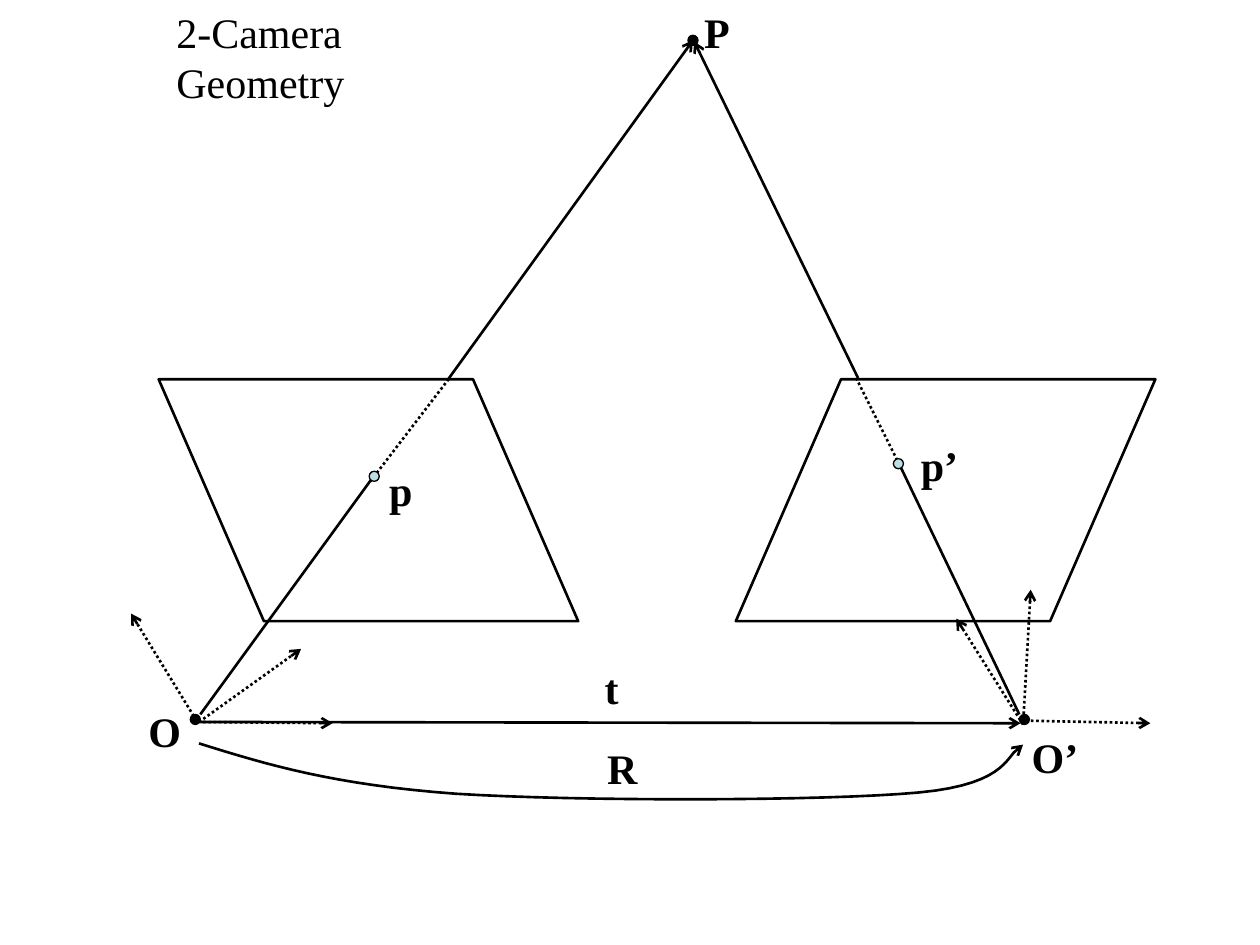
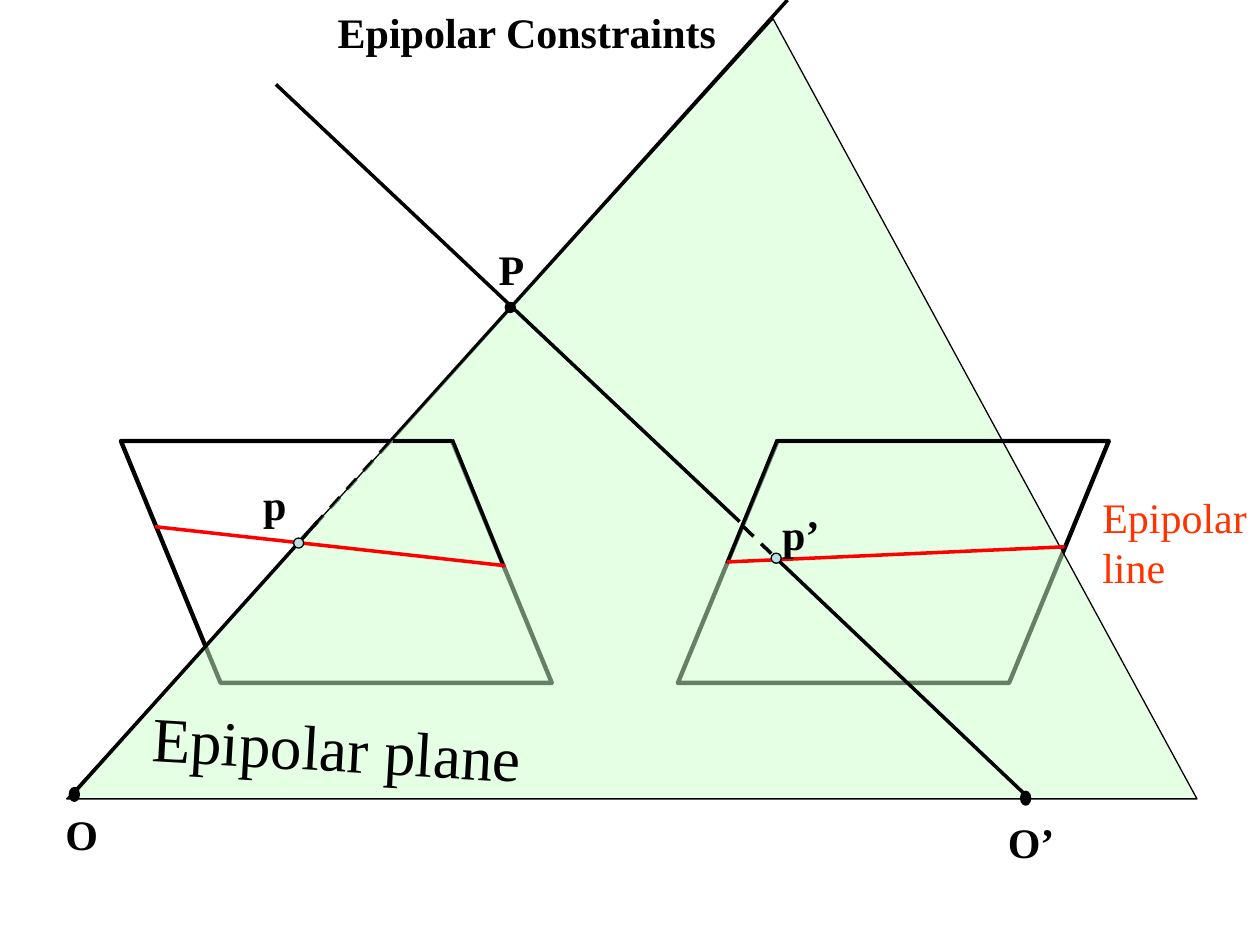
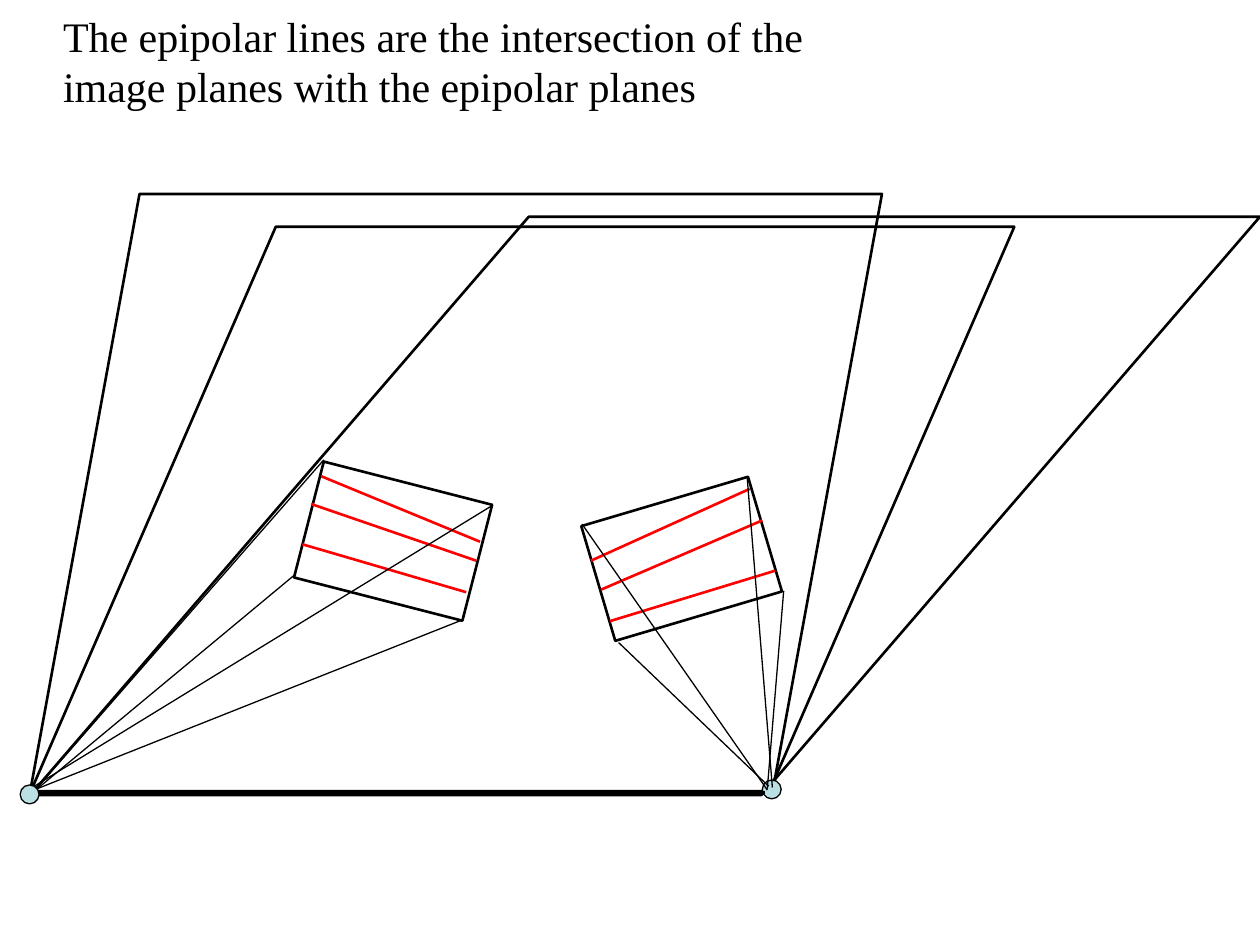
from dataclasses import dataclass

from lxml.etree import SubElement
from pptx import Presentation
from pptx.dml.color import RGBColor
from pptx.enum.dml import MSO_LINE
from pptx.enum.shapes import MSO_CONNECTOR, MSO_SHAPE
from pptx.enum.text import MSO_ANCHOR, MSO_AUTO_SIZE, PP_ALIGN
from pptx.oxml.ns import qn
from pptx.util import Cm, Pt


@dataclass(frozen=True)
class Theme:
    font: str = "Times New Roman"
    ink: str = "000000"
    paper: str = "FFFFFF"
    point: str = "BBE0E3"
    epipolar: str = "FF0000"
    caption: str = "FF3300"
    plane: str = "CCFFCC"
    text_size: float = 24
    large_size: float = 36
    hairline: float = 0.75
    line: float = 1.5
    ray: float = 2
    baseline: float = 2.25
    frame: float = 2.5
    label_height: float = 0.5
    dot: float = 0.08


def grid(value):
    return Cm(2.54 * value)


def bezier(start, first, second, end, steps=16):
    for step in range(1, steps + 1):
        t = step / steps
        weights = ((1 - t) ** 3, 3 * t * (1 - t) ** 2, 3 * t * t * (1 - t), t ** 3)
        yield tuple(
            sum(weight * point[axis] for weight, point in zip(weights, (start, first, second, end)))
            for axis in (0, 1)
        )


class Sketch:
    def __init__(self, theme):
        self.theme = theme
        self.deck = Presentation()
        self.deck.slide_width = grid(10)
        self.deck.slide_height = grid(7.5)
        self.page = None

    def new_page(self, title, left, top, width, height, bold=False, wrap=False):
        self.page = self.deck.slides.add_slide(self.deck.slide_layouts[5])
        box = self.page.shapes.title
        box.left, box.top, box.width, box.height = map(grid, (left, top, width, height))
        self.fill_text(box, [title], self.theme.text_size, self.theme.ink, bold, wrap)

    def fill_text(self, box, lines, size, color, bold, wrap=False):
        frame = box.text_frame
        frame.word_wrap = wrap
        frame.auto_size = MSO_AUTO_SIZE.SHAPE_TO_FIT_TEXT
        frame.vertical_anchor = MSO_ANCHOR.TOP
        for index, line in enumerate(lines):
            para = frame.add_paragraph() if index else frame.paragraphs[0]
            para.alignment = PP_ALIGN.LEFT
            span = para.add_run()
            span.text = line
            span.font.name = self.theme.font
            span.font.size = Pt(size)
            span.font.bold = bold
            span.font.color.rgb = RGBColor.from_string(color)

    def label(self, lines, left, top, width, height=None, size=None, color=None, bold=True, turn=0):
        height = height or self.theme.label_height
        box = self.page.shapes.add_textbox(*map(grid, (left, top, width, height)))
        box.rotation = turn
        self.fill_text(box, lines, size or self.theme.text_size, color or self.theme.ink, bold)

    def stroke(self, item, weight, color=None, dash=None, arrow=False):
        item.line.color.rgb = RGBColor.from_string(color or self.theme.ink)
        item.line.width = Pt(weight)
        if dash:
            item.line.dash_style = dash
        if arrow:
            SubElement(item.element.spPr.get_or_add_ln(), qn("a:tailEnd"), type="arrow")

    def line(self, start, end, weight=None, color=None, dash=None, arrow=False):
        connector = self.page.shapes.add_connector(
            MSO_CONNECTOR.STRAIGHT, *map(grid, (*start, *end)))
        self.stroke(connector, weight or self.theme.line, color, dash, arrow)
        SubElement(connector.element.spPr, qn("a:effectLst"))

    def shape(self, kind, left, top, width, height, weight=None, fill=None,
              opacity=None, slant=None, mirrored=False, turn=0):
        shape = self.page.shapes.add_shape(kind, *map(grid, (left, top, width, height)))
        shape.shadow.inherit = False
        shape.rotation = turn
        if slant is not None:
            shape.adjustments[0] = slant
        if mirrored:
            shape.element.spPr.get_or_add_xfrm().set("flipH", "1")
        if fill:
            shape.fill.solid()
            shape.fill.fore_color.rgb = RGBColor.from_string(fill)
        else:
            shape.fill.background()
        if opacity:
            color = shape.element.spPr.find(qn("a:solidFill")).find(qn("a:srgbClr"))
            SubElement(color, qn("a:alpha"), val=str(opacity * 1000))
        self.stroke(shape, weight or self.theme.line)

    def dot(self, left, top, fill, width=None, height=None):
        width = width or self.theme.dot
        self.shape(MSO_SHAPE.OVAL, left, top, width, height or width, self.theme.hairline, fill)

    def curve(self, start, segments):
        points = []
        corner = start
        for first, second, end in segments:
            points.extend(bezier(corner, first, second, end))
            corner = end
        builder = self.page.shapes.build_freeform(*map(grid, start))
        builder.add_line_segments([tuple(map(grid, point)) for point in points], close=False)
        shape = builder.convert_to_shape()
        shape.shadow.inherit = False
        shape.fill.background()
        self.stroke(shape, self.theme.line, arrow=True)


def two_cameras(sketch):
    theme = sketch.theme
    sketch.new_page("2-Camera Geometry", 1.3, 0, 2.93, 0.5)
    for left, mirrored in ((5.84, False), (1.26, True)):
        sketch.shape(MSO_SHAPE.PARALLELOGRAM, left, 3.01, 3.33, 1.92,
                     slant=0.435, mirrored=mirrored)
    sketch.line((1.59, 5.67), (2.98, 3.76))
    sketch.line((7.14, 3.69), (8.09, 5.67))
    for left, top in ((1.51, 5.67), (8.09, 5.67), (5.46, 0.28)):
        sketch.dot(left, top, theme.ink)
    sketch.line((1.59, 5.73), (8.1, 5.74), arrow=True)
    axes = (
        ((1.58, 5.73), (2.39, 5.15)),
        ((1.56, 5.72), (1.04, 4.87)),
        ((1.57, 5.73), (2.64, 5.74)),
        ((8.12, 5.75), (7.59, 4.91)),
        ((8.14, 5.72), (9.13, 5.74)),
        ((8.12, 5.75), (8.18, 4.68)),
    )
    for origin, tip in axes:
        sketch.line(origin, tip, dash=MSO_LINE.ROUND_DOT, arrow=True)
    sketch.curve((1.58, 5.9), (
        ((2.12, 6.07), (2.66, 6.23), (3.62, 6.3)),
        ((4.57, 6.36), (6.54, 6.36), (7.29, 6.29)),
        ((8.04, 6.22), (7.98, 5.97), (8.12, 5.91)),
    ))
    sketch.line((3.55, 3.02), (5.5, 0.32), arrow=True)
    sketch.line((2.94, 3.82), (3.56, 3.01), dash=MSO_LINE.ROUND_DOT)
    sketch.dot(2.93, 3.74, theme.point)
    sketch.line((7.14, 3.69), (6.8, 3.01), dash=MSO_LINE.ROUND_DOT)
    sketch.line((6.81, 3), (5.51, 0.33), arrow=True)
    sketch.dot(7.09, 3.64, theme.point)
    labels = (
        ("R", 4.72, 5.84, 0.44), ("t", 4.7, 5.21, 0.31), ("P", 5.49, 0, 0.4),
        ("p", 2.99, 3.64, 0.39), ("p’", 7.21, 3.44, 0.5),
        ("O", 1.08, 5.55, 0.46), ("O’", 8.09, 5.76, 0.57),
    )
    for text, left, top, width in labels:
        sketch.label([text], left, top, width)


def epipolar_constraints(sketch):
    theme = sketch.theme
    ray = theme.ray
    sketch.new_page("Epipolar Constraints", 2.58, 0, 3.21, 0.5, bold=True)
    sketch.shape(MSO_SHAPE.PARALLELOGRAM, 5.38, 3.5, 3.42, 1.92, theme.frame, slant=0.412)
    sketch.line((3.1, 3.5), (6.25, 0), ray)
    sketch.shape(MSO_SHAPE.PARALLELOGRAM, 0.96, 3.5, 3.42, 1.92, theme.frame,
                 theme.paper, slant=0.412, mirrored=True)
    sketch.line((2.36, 4.32), (3.11, 3.49), ray, dash=MSO_LINE.DASH)
    sketch.shape(MSO_SHAPE.ISOSCELES_TRIANGLE, 0.53, 0.15, 8.97, 6.19, theme.hairline,
                 theme.plane, opacity=50, slant=0.625)
    for left, top in ((8.1, 6.28), (0.55, 6.25)):
        sketch.dot(left, top, theme.ink, height=0.11)
    front_edges = (
        ((8.02, 3.5), (6.17, 3.5)),
        ((6.17, 3.49), (5.77, 4.47)),
        ((3.12, 3.5), (3.59, 3.5)),
        ((3.59, 3.49), (4, 4.5)),
    )
    for start, end in front_edges:
        sketch.line(start, end, ray)
    sketch.line((5.77, 4.46), (8.45, 4.34), ray, theme.epipolar)
    sketch.label(["Epipolar plane"], 1.11, 5.58, 3.13, 0.7, theme.large_size,
                 bold=False, turn=3.4)
    sketch.line((2.52, 4.14), (0.59, 6.29), ray)
    sketch.line((5.87, 4.14), (2.19, 0.67), ray)
    sketch.line((5.9, 4.18), (6.18, 4.45), ray, dash=MSO_LINE.DASH)
    sketch.line((6.18, 4.45), (8.14, 6.31), ray)
    sketch.line((1.23, 4.18), (4.01, 4.49), ray, theme.epipolar)
    for left, top, fill in ((6.12, 4.39, theme.point), (2.33, 4.27, theme.point),
                            (4.01, 2.4, theme.ink)):
        sketch.dot(left, top, fill)
    labels = (
        ("p", 1.99, 3.75, 0.39), ("O", 0.42, 6.37, 0.46), ("O’", 7.9, 6.43, 0.57),
        ("p’", 6.11, 3.99, 0.5), ("P", 3.86, 1.88, 0.4),
    )
    for text, left, top, width in labels:
        sketch.label([text], left, top, width)
    sketch.label(["Epipolar", "line"], 8.65, 3.85, 1.35, 0.9, color=theme.caption, bold=False)


def epipolar_lines(sketch):
    theme = sketch.theme
    sketch.new_page(
        "The epipolar lines are the intersection of the image planes with the epipolar planes",
        0.4, 0.03, 6.17, 0.91, wrap=True)
    for left, top, turn in ((2.43, 3.82, 14.4), (4.72, 3.96, 343.5)):
        sketch.shape(MSO_SHAPE.RECTANGLE, left, top, 1.38, 0.95, turn=turn)
    planes = (
        (1.54, 6.76, 4.74, 0.183, ((2.55, 3.78), (3.81, 4.3)), ((5.95, 3.88), (4.69, 4.45))),
        (1.72, 9.76, 4.59, 0.862, ((2.4, 4.32), (3.7, 4.7)), ((4.84, 4.93), (6.15, 4.53))),
        (1.8, 7.81, 4.49, 0.434, ((2.47, 4), (3.78, 4.45)), ((6.05, 4.13), (4.77, 4.68))),
    )
    for top, width, height, slant, *intersections in planes:
        sketch.shape(MSO_SHAPE.PARALLELOGRAM, 0.24, top, width, height, slant=slant)
        for start, end in intersections:
            sketch.line(start, end, color=theme.epipolar)
    sketch.dot(6.05, 6.19, theme.point, 0.15)
    sketch.line((0.22, 6.29), (6.07, 6.29), theme.baseline)
    left_rays = (
        ((2.57, 3.65), (0.27, 6.28)), ((2.33, 4.57), (0.26, 6.29)),
        ((3.67, 4.92), (0.27, 6.27)), ((3.91, 4.01), (0.24, 6.26)),
    )
    right_rays = (
        ((4.91, 5.1), (6.1, 6.24)), ((4.62, 4.16), (6.09, 6.27)),
        ((5.93, 3.79), (6.13, 6.25)), ((6.22, 4.69), (6.09, 6.26)),
    )
    for corner, center in left_rays:
        sketch.line(corner, center, theme.hairline)
    sketch.dot(0.16, 6.23, theme.point, 0.15)
    for corner, center in right_rays:
        sketch.line(corner, center, theme.hairline)


def main():
    sketch = Sketch(Theme())
    two_cameras(sketch)
    epipolar_constraints(sketch)
    epipolar_lines(sketch)
    sketch.deck.save("out.pptx")


if __name__ == "__main__":
    main()
